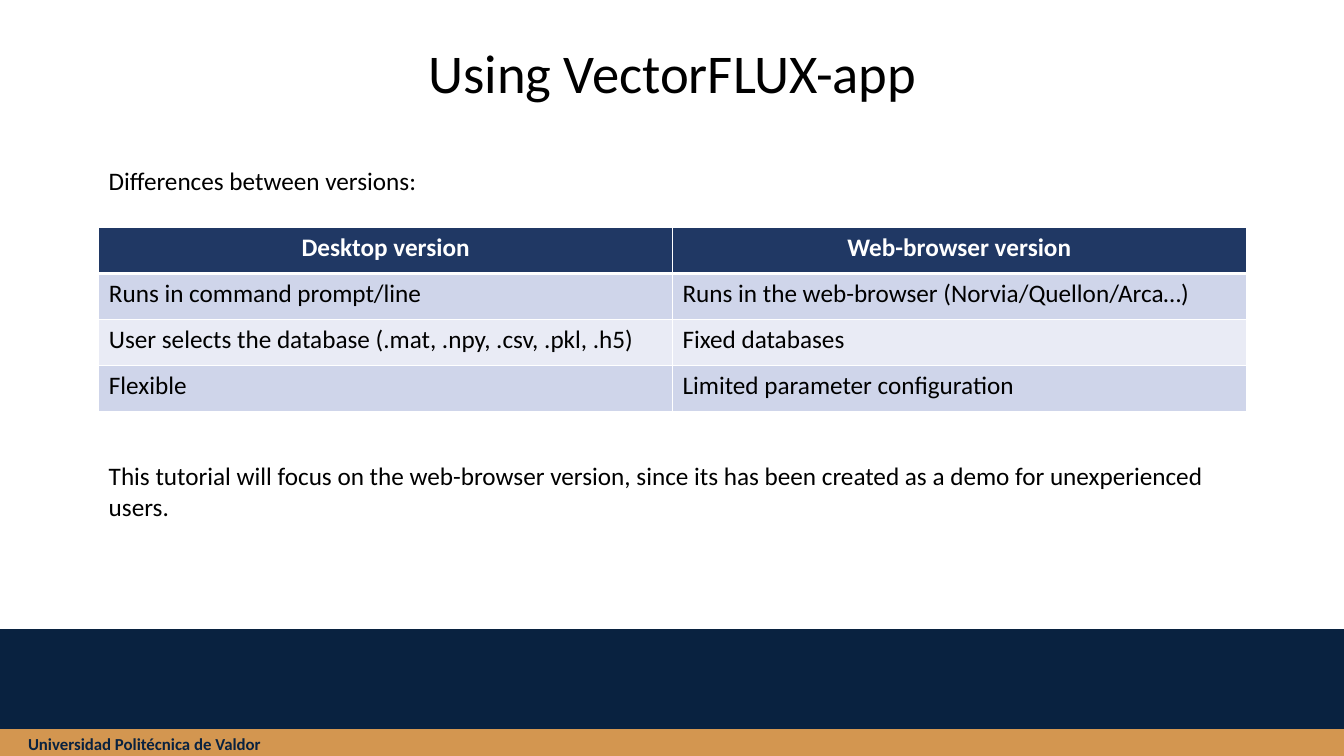
from lxml.etree import SubElement
from pptx import Presentation
from pptx.dml.color import RGBColor
from pptx.enum.shapes import MSO_SHAPE as Shape
from pptx.enum.text import MSO_ANCHOR as Anchor, MSO_AUTO_SIZE as AutoSize, PP_ALIGN as Align
from pptx.oxml.ns import qn
from pptx.util import Inches, Pt

WIDTH, HEIGHT = 13.33, 7.5
MARGIN = 0.98
CONTENT = WIDTH - 2 * MARGIN + 0.01
NAVY, GOLD, HEADER = "092240", "D39650", "203864"
BLACK, WHITE = "000000", "FFFFFF"
BANDS = ("CFD5EA", "E9EBF5")

VERSIONS = [
    ("Desktop version", "Web-browser version"),
    ("Runs in command prompt/line", "Runs in the web-browser (Norvia/Quellon/Arca…)"),
    ("User selects the database (.mat, .npy, .csv, .pkl, .h5)", "Fixed databases"),
    ("Flexible", "Limited parameter configuration"),
]


def color(value):
    return RGBColor.from_string(value)


def inches(box):
    return [Inches(length) for length in box]


def write(frame, text, size, ink=BLACK, bold=False, align=Align.LEFT):
    frame.text = text
    para = frame.paragraphs[0]
    para.alignment = align
    font = para.font
    font.name, font.size, font.bold = "Calibri", Pt(size), bold
    font.color.rgb = color(ink)
    return para


def add_title(page, box, text):
    title = page.shapes.title
    title.left, title.top, title.width, title.height = inches(box)
    frame = title.text_frame
    frame.auto_size = AutoSize.NONE
    frame.vertical_anchor = Anchor.BOTTOM
    write(frame, text, 39, align=Align.CENTER).line_spacing = 0.9


def add_text(page, box, text, size=18, ink=BLACK, bold=False, wrap=True):
    frame = page.shapes.add_textbox(*inches(box)).text_frame
    frame.word_wrap = wrap
    frame.auto_size = AutoSize.SHAPE_TO_FIT_TEXT
    write(frame, text, size, ink, bold)


def add_band(page, box, fill):
    band = page.shapes.add_shape(Shape.RECTANGLE, *inches(box))
    band.shadow.inherit = False
    band.fill.solid()
    band.fill.fore_color.rgb = color(fill)
    band.line.color.rgb = color(fill)
    band.line.width = Pt(1)


def set_borders(cell, top, bottom):
    properties = cell._tc.get_or_add_tcPr()
    edges = (("a:lnL", 1), ("a:lnR", 1), ("a:lnT", top), ("a:lnB", bottom))
    for position, (tag, width) in enumerate(edges):
        edge = SubElement(properties, qn(tag), w=str(Pt(width)))
        SubElement(SubElement(edge, qn("a:solidFill")), qn("a:srgbClr"), val=WHITE)
        # Borders come before the fill in the cell properties
        properties.insert(position, edge)


def add_versions_table(page, box):
    rows, columns = len(VERSIONS), len(VERSIONS[0])
    table = page.shapes.add_table(rows, columns, *inches(box)).table
    for row, texts in enumerate(VERSIONS):
        heading = row == 0
        for column, text in enumerate(texts):
            cell = table.cell(row, column)
            cell.fill.solid()
            cell.fill.fore_color.rgb = color(HEADER if heading else BANDS[(row - 1) % 2])
            write(cell.text_frame, text, 18, WHITE if heading else BLACK, heading,
                  Align.CENTER if heading else Align.LEFT)
            set_borders(cell, top=3 if row == 1 else 1, bottom=3 if heading else 1)


def add_footer(page, box):
    left, top, width, height = box
    strip = 0.27
    bottom = top + height
    # The navy band covers all of the gold one but its lower strip
    add_band(page, (left, top + 0.38, width, height - 0.38), GOLD)
    add_band(page, (left, top, width, height - strip), NAVY)
    add_text(page, (left + 0.18, bottom - strip, 2.6, 0.3),
             "Universidad Politécnica de Valdor", 12, NAVY, bold=True, wrap=False)


def main():
    deck = Presentation()
    deck.slide_width, deck.slide_height = Inches(WIDTH), Inches(HEIGHT)
    page = deck.slides.add_slide(deck.slide_layouts.get_by_name("Title Only"))

    add_title(page, (MARGIN, -0.16, CONTENT, 1.25), "Using VectorFLUX-app")
    add_footer(page, (0, 6.25, WIDTH, HEIGHT - 6.25))
    add_versions_table(page, (MARGIN, 2.26, CONTENT, 1.82))
    add_text(page, (MARGIN, 1.59, 8.63, 0.4), "Differences between versions:")
    add_text(page, (MARGIN, 4.52, CONTENT, 0.71),
             "This tutorial will focus on the web-browser version, since its has been "
             "created as a demo for unexperienced users.")
    deck.save("out.pptx")


if __name__ == "__main__":
    main()
